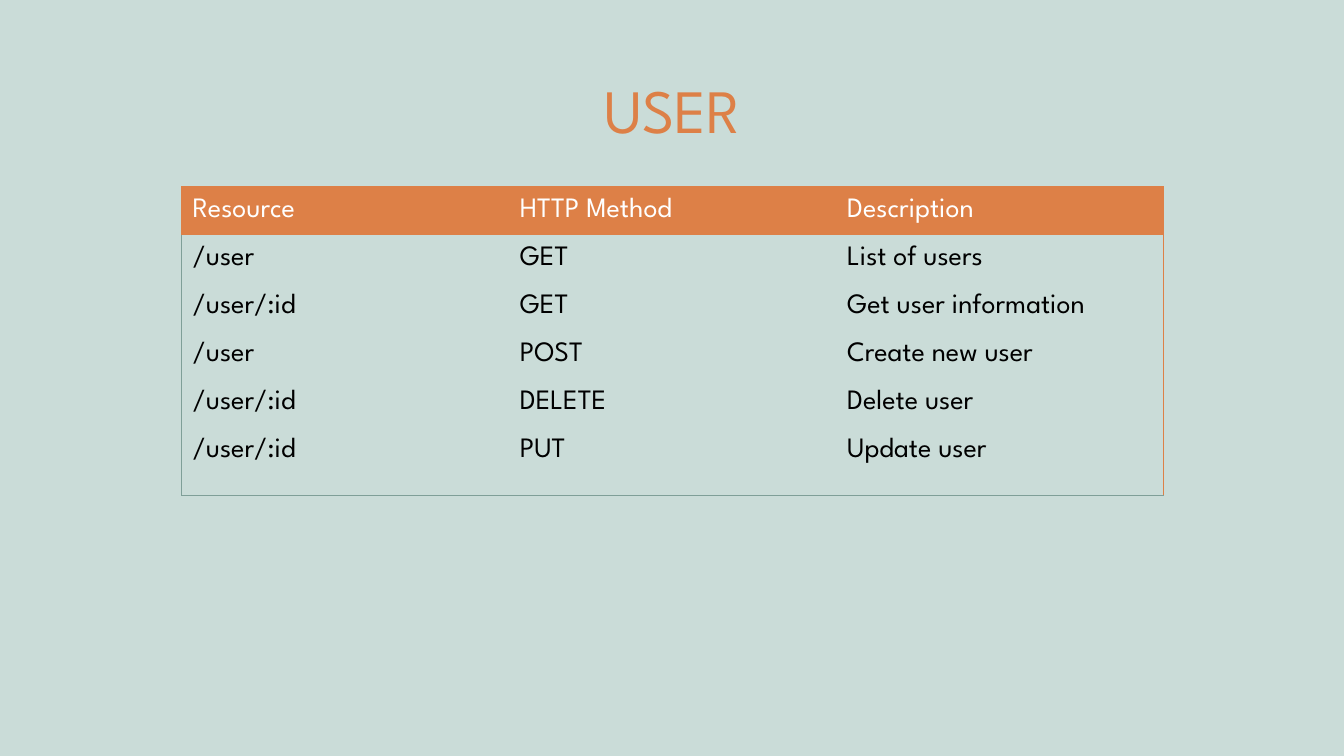
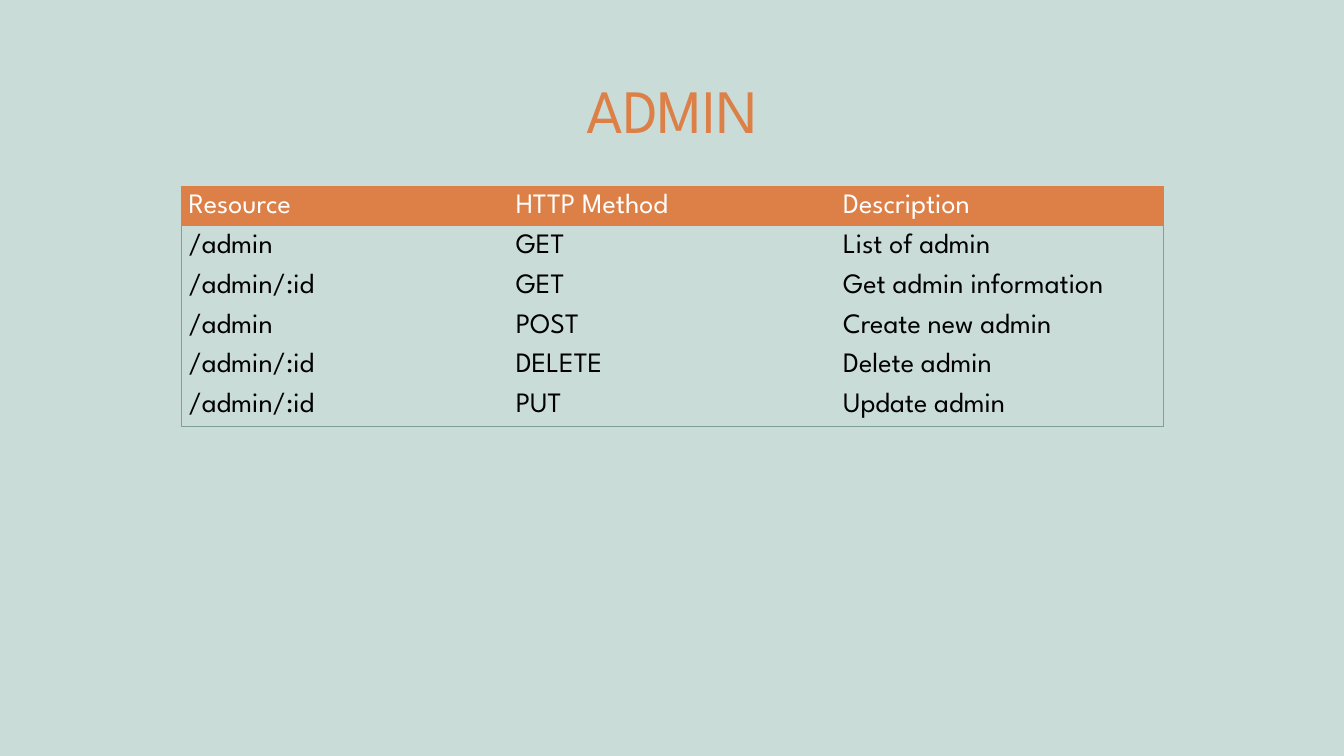
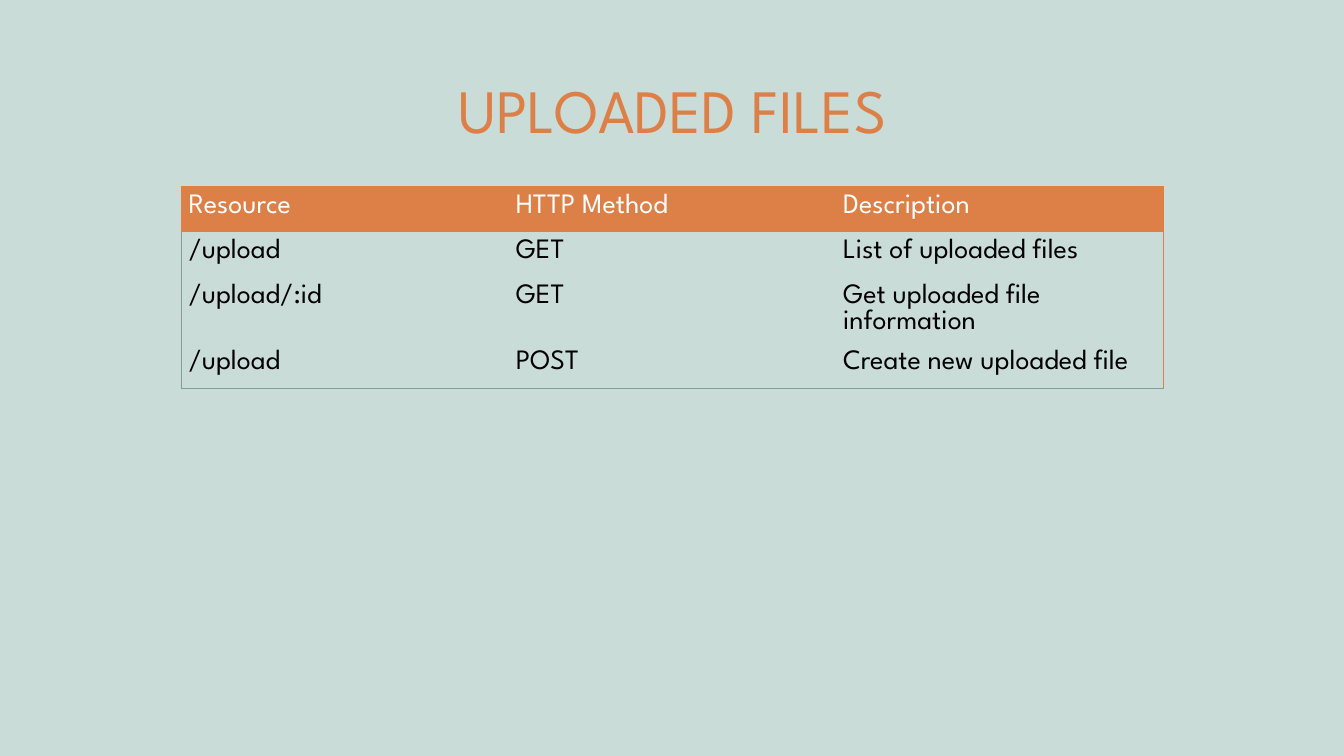
from pptx import Presentation
from pptx.dml.color import RGBColor
from pptx.enum.text import MSO_ANCHOR, MSO_AUTO_SIZE, PP_ALIGN
from pptx.oxml.ns import qn
from pptx.util import Inches, Pt
from lxml.etree import SubElement

# Shared look
MINT = RGBColor(0xCA, 0xDC, 0xD8)
ORANGE = RGBColor(0xDD, 0x80, 0x47)
SAGE = RGBColor(0x7F, 0x9F, 0x98)
WHITE = RGBColor(0xFF, 0xFF, 0xFF)
BLACK = RGBColor(0x00, 0x00, 0x00)
FACE = "League Spartan"
PLAIN = "{2D5ABB26-0587-4C30-8999-92F81FD0307C}"  # no style, no grid
HEAD_FONT = {"name": FACE, "size": Pt(44)}
CELL_FONT = {"name": FACE, "size": Pt(20), "bold": False}
HEAD_BOX = {"left": 0.92, "top": 0.4, "width": 11.5, "height": 1.45}
LEFT, TOP, WIDTH = 1.8, 1.85, 9.74
LABELS = ("Resource", "HTTP Method", "Description")

# Slide content: title, cell margin, row heights, rows
PAGES = [
    ("USER", 0.11, [0.47] * 5 + [0.68], [
        ("/user", "GET", "List of users"),
        ("/user/:id", "GET", "Get user information"),
        ("/user", "POST", "Create new user"),
        ("/user/:id", "DELETE", "Delete user"),
        ("/user/:id", "PUT", "Update user"),
    ]),
    ("ADMIN", 0.07, [0.39] * 6, [
        ("/admin", "GET", "List of admin"),
        ("/admin/:id", "GET", "Get admin information"),
        ("/admin", "POST", "Create new admin"),
        ("/admin/:id", "DELETE", "Delete admin"),
        ("/admin/:id", "PUT", "Update admin"),
    ]),
    ("UPLOADED FILES", 0.07, [0.45, 0.45, 0.65, 0.45], [
        ("/upload", "GET", "List of uploaded files"),
        ("/upload/:id", "GET", "Get uploaded file information"),
        ("/upload", "POST", "Create new uploaded file"),
    ]),
]


def style(item, values):
    """Set each named attribute of the item."""
    for name, value in values.items():
        setattr(item, name, value)


def set_theme(deck, layout):
    """Give every slide its ground and title place."""
    ground = deck.slide_master.background.fill
    ground.solid()
    ground.fore_color.rgb = MINT
    title = next(p for p in layout.placeholders
                 if p.placeholder_format.idx == 0)
    style(title, {key: Inches(size) for key, size in HEAD_BOX.items()})


def add_title(slide, text):
    frame = slide.shapes.title.text_frame
    frame.text = text
    style(frame, {"vertical_anchor": MSO_ANCHOR.MIDDLE, "word_wrap": True,
                  "auto_size": MSO_AUTO_SIZE.NONE})
    para = frame.paragraphs[0]
    style(para, {"alignment": PP_ALIGN.CENTER, "line_spacing": 0.9})
    font = para.runs[0].font
    style(font, HEAD_FONT)
    font.color.rgb = ORANGE


def add_edge(cell, side, color):
    """Draw a thin border on side L, R, T or B."""
    props = cell._tc.get_or_add_tcPr()
    line = SubElement(props, qn(f"a:ln{side}"), w=str(Pt(0.5)))
    fill = SubElement(line, qn("a:solidFill"))
    SubElement(fill, qn("a:srgbClr"), val=str(color))


def fill_cell(cell, text, pad, head):
    cell.text = text
    style(cell, {f"margin_{side}": Inches(pad)
                 for side in ("left", "right", "top", "bottom")})
    font = cell.text_frame.paragraphs[0].runs[0].font
    style(font, CELL_FONT)
    font.color.rgb = WHITE if head else BLACK
    if head:
        cell.fill.solid()
        cell.fill.fore_color.rgb = ORANGE
    else:
        cell.fill.background()


def add_grid(slide, pad, heights, rows):
    """Add a table with a filled head row and an outer frame."""
    rows = [LABELS, *rows]
    last, end = len(rows) - 1, len(LABELS) - 1
    frame = slide.shapes.add_table(
        len(rows), len(LABELS), Inches(LEFT), Inches(TOP),
        Inches(WIDTH), Inches(sum(heights)))
    table = frame.table
    table.horz_banding = False
    table._tbl.tblPr.find(qn("a:tableStyleId")).text = PLAIN
    for r, (row, height) in enumerate(zip(rows, heights)):
        table.rows[r].height = Inches(height)
        for c, text in enumerate(row):
            cell = table.cell(r, c)
            edges = (("L", c == 0, SAGE if r else ORANGE),
                     ("R", c == end, ORANGE),
                     ("T", r == 0, ORANGE),
                     ("B", r == last, SAGE))
            for side, outer, color in edges:
                if outer:
                    add_edge(cell, side, color)
            fill_cell(cell, text, pad, r == 0)


def main():
    deck = Presentation()
    style(deck, {"slide_width": Inches(13.33), "slide_height": Inches(7.5)})
    layout = deck.slide_layouts.get_by_name("Title Only")
    set_theme(deck, layout)
    for title, pad, heights, rows in PAGES:
        slide = deck.slides.add_slide(layout)
        add_title(slide, title)
        add_grid(slide, pad, heights, rows)
    deck.save("out.pptx")


if __name__ == "__main__":
    main()
